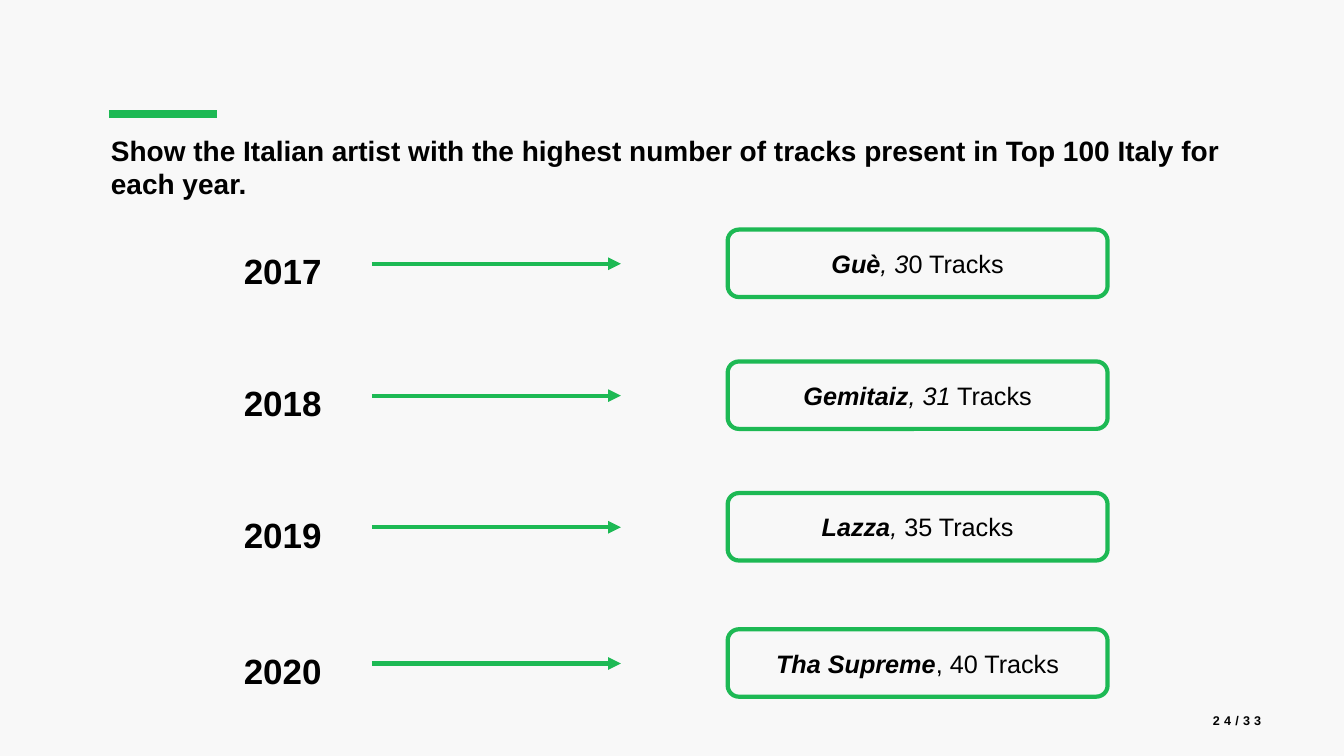
import pptx
import pptx.util
import pptx.dml.color
import pptx.enum.shapes
import pptx.enum.text
import pptx.oxml.ns
import lxml.etree

Pt = pptx.util.Pt
Align = pptx.enum.text.PP_ALIGN
Anchor = pptx.enum.text.MSO_ANCHOR
GREEN = pptx.dml.color.RGBColor(0x1D, 0xB9, 0x54)
BLACK = pptx.dml.color.RGBColor(0, 0, 0)
PALE = pptx.dml.color.RGBColor(0xF8, 0xF8, 0xF8)


def style(run, size, bold=True, slant=False):
    run.font.name = "Arial"
    run.font.size = Pt(size)
    run.font.bold = bold
    run.font.italic = slant
    run.font.color.rgb = BLACK


def rule(left, right, y, width):
    line = slide.shapes.add_connector(
        pptx.enum.shapes.MSO_CONNECTOR.STRAIGHT, Pt(left), Pt(y), Pt(right), Pt(y))
    line.line.color.rgb = GREEN
    line.line.width = Pt(width)
    lxml.etree.SubElement(line._element.spPr, pptx.oxml.ns.qn("a:effectLst"))
    return line


deck = pptx.Presentation()
deck.slide_width = Pt(960)
deck.slide_height = Pt(540)
slide = deck.slides.add_slide(deck.slide_layouts[1])
slide.background.fill.solid()
slide.background.fill.fore_color.rgb = PALE

rule(77.8, 154.8, 81.3, 6)

title = slide.shapes.title
title.left, title.top, title.width, title.height = Pt(72), Pt(91.5), Pt(847.5), Pt(42.5)
frame = title.text_frame
frame.text = "Show the Italian artist with the highest number of tracks present in Top 100 Italy for each year."
frame.auto_size = pptx.enum.text.MSO_AUTO_SIZE.NONE
frame.vertical_anchor = Anchor.TOP
frame.paragraphs[0].alignment = Align.LEFT
style(frame.paragraphs[0].runs[0], 20)

page = slide.shapes.add_textbox(Pt(851), Pt(500.4), Pt(57), Pt(28.8))
frame = page.text_frame
frame.text = "24/33"
frame.word_wrap = True
frame.vertical_anchor = Anchor.MIDDLE
frame.paragraphs[0].alignment = Align.RIGHT
style(frame.paragraphs[0].runs[0], 9)
frame.paragraphs[0].runs[0].font._element.set("spc", "300")

rows = [
    ("2017", 164, "Guè", ", 3", "0 Tracks"),
    ("2018", 258.2, "Gemitaiz", ", 31", " Tracks"),
    ("2019", 352.2, "Lazza", ", ", "35 Tracks"),
    ("2020", 449.5, "Tha Supreme", "", ", 40 Tracks"),
]
body = slide.placeholders[1]
for year, top, artist, slant, plain in rows:
    label = body if year == "2017" else slide.shapes.add_textbox(0, 0, 0, 0)
    label.left, label.top, label.width, label.height = Pt(139.7), Pt(top - 3), Pt(117.4), Pt(54.7)
    frame = label.text_frame
    frame.text = year
    frame.word_wrap = True
    frame.auto_size = pptx.enum.text.MSO_AUTO_SIZE.NONE
    frame.vertical_anchor = Anchor.MIDDLE
    frame.margin_left = Pt(14.2)
    frame.margin_top = Pt(13.6)
    para = frame.paragraphs[0]
    props = para._p.get_or_add_pPr()
    props.set("marL", "0")
    props.set("indent", "0")
    lxml.etree.SubElement(props, pptx.oxml.ns.qn("a:buNone"))
    para.alignment = Align.CENTER
    para.space_before = Pt(0)
    style(para.runs[0], 25)

    card = slide.shapes.add_shape(
        pptx.enum.shapes.MSO_SHAPE.ROUNDED_RECTANGLE, Pt(519.8), Pt(top), Pt(271.4), Pt(48.2))
    card.shadow.inherit = False
    card.fill.background()
    card.line.color.rgb = GREEN
    card.line.width = Pt(3)
    card.text_frame.vertical_anchor = Anchor.MIDDLE
    para = card.text_frame.paragraphs[0]
    para.alignment = Align.CENTER
    for text, bold, tilt in ((artist, True, True), (slant, False, True), (plain, False, False)):
        if text:
            run = para.add_run()
            run.text = text
            style(run, 18, bold, tilt)

    arrow = rule(265.7, 443.5, top + 24.4, 3)
    tip = lxml.etree.SubElement(arrow.line._get_or_add_ln(), pptx.oxml.ns.qn("a:tailEnd"))
    tip.set("type", "triangle")

deck.save("out.pptx")
